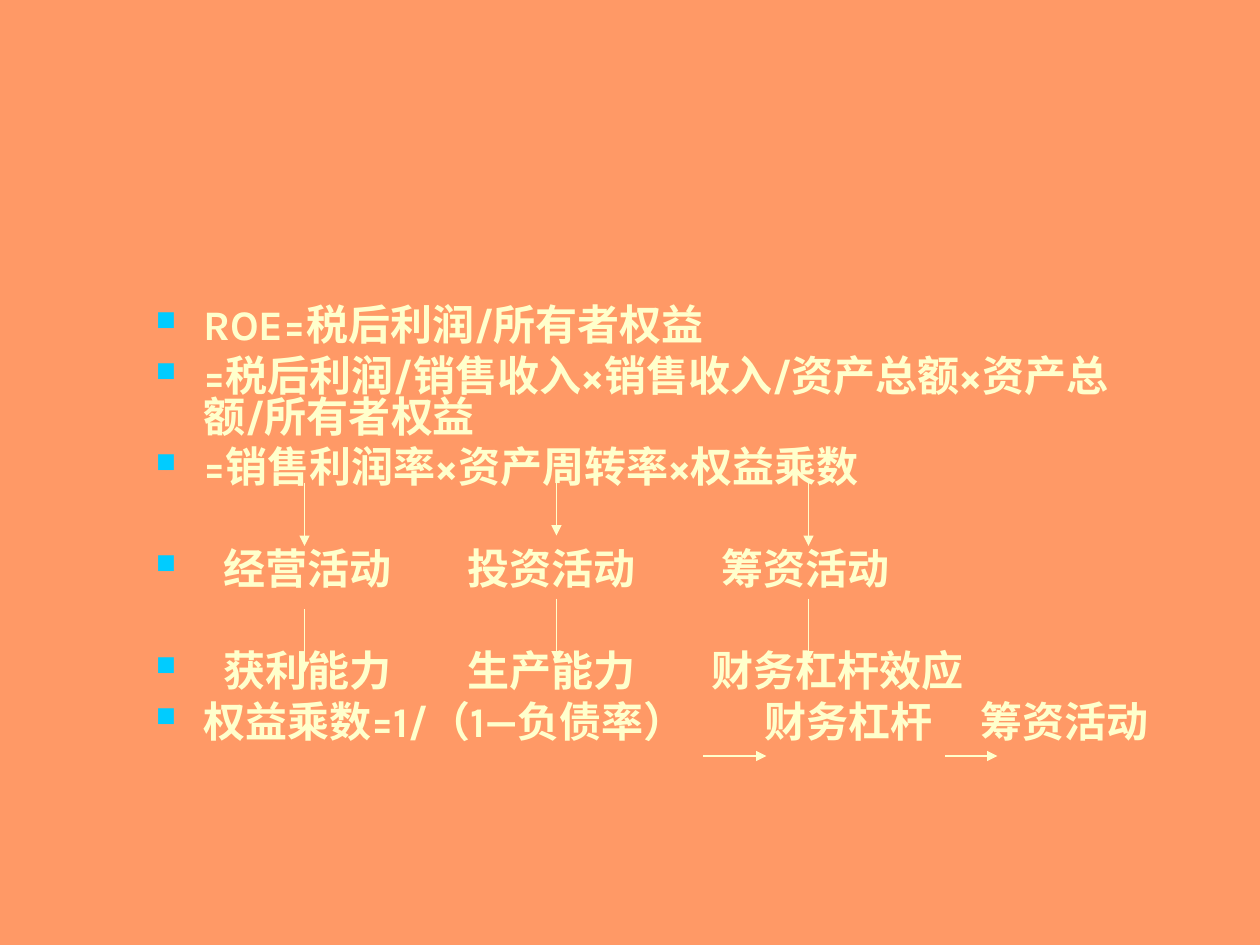
"""Build the slide that breaks ROE into its factors."""
from lxml import etree
from pptx import Presentation
from pptx.dml.color import RGBColor
from pptx.enum import shapes, text
from pptx.oxml import ns
from pptx.util import Pt

CREAM, CYAN, ORANGE = "FFFFCC", "00CCFF", "FF9966"
PITCH, WRAPPED, GAP = 29.1, 23, 6
BODY_LEFT, BODY_TOP = 82, 172.8
HANG, DEEP_HANG = 27, 38.8

# bullet text, hanging indent, empty rows above
BULLETS = [
    ("ROE=税后利润/所有者权益", HANG, 0),
    ("=税后利润/销售收入×销售收入/资产总额×资产总额/所有者权益", HANG, 0),
    ("=销售利润率×资产周转率×权益乘数", HANG, 0),
    ("经营活动", DEEP_HANG, 1),
    ("获利能力", DEEP_HANG, 1),
    ("权益乘数=1/（1—负债率）", HANG, 0),
]
# text, left, row
COLUMN_WORDS = [
    ("投资活动", 267.4, 4),
    ("筹资活动", 412.2, 4),
    ("生产能力", 267.4, 6),
    ("财务杠杆效应", 406.4, 6),
    ("财务杠杆", 437, 7),
    ("筹资活动", 560.2, 7),
]
# x, tops of the two arrows in the column
DOWN_ARROWS = [(174, (276, 348)), (318, (270, 342)), (462, (276, 342))]
DOWN_LENGTH = 36
# start and end
RIGHT_ARROWS = [(402, 438), (540, 570)]
RIGHT_ARROW_Y = 432


def color(value):
    return RGBColor.from_string(value)


def add_element(parent, tag, **attributes):
    return etree.SubElement(parent, ns.qn(tag), attributes)


def add_frame(slide, left, top, width, height, side_inset):
    frame = slide.shapes.add_textbox(Pt(left), Pt(top), Pt(width), Pt(height)).text_frame
    frame.word_wrap = True
    frame.vertical_anchor = text.MSO_ANCHOR.TOP
    frame.margin_left = frame.margin_right = Pt(side_inset)
    frame.margin_top = frame.margin_bottom = Pt(3.6)
    return frame


def write(paragraph, words):
    paragraph.line_spacing = 0.8
    run = paragraph.add_run()
    run.text = words
    run.font.name, run.font.size, run.font.bold = "Karla", Pt(24), True
    run.font.color.rgb = color(CREAM)


def add_bullet(paragraph, hang):
    properties = paragraph._p.get_or_add_pPr()
    properties.set("marL", str(Pt(hang)))
    properties.set("indent", str(-Pt(hang)))
    add_element(add_element(properties, "a:buClr"), "a:srgbClr", val=CYAN)
    add_element(properties, "a:buSzPct", val="65000")
    add_element(properties, "a:buChar", char="■")


def add_arrow(slide, x1, y1, x2, y2):
    arrow = slide.shapes.add_connector(
        shapes.MSO_CONNECTOR.STRAIGHT, Pt(x1), Pt(y1), Pt(x2), Pt(y2))
    arrow.line.color.rgb = color(CREAM)
    arrow.line.width = Pt(0.75)
    add_element(arrow.line._get_or_add_ln(), "a:tailEnd", type="triangle")
    add_element(arrow._element.spPr, "a:effectLst")


def main():
    deck = Presentation()
    deck.slide_width, deck.slide_height = Pt(720), Pt(540)
    slide = deck.slides.add_slide(deck.slide_layouts[6])
    slide.background.fill.solid()
    slide.background.fill.fore_color.rgb = color(ORANGE)

    body = add_frame(slide, BODY_LEFT, BODY_TOP, 589.7, 295.9, 7.2)
    for index, (words, hang, empty_rows) in enumerate(BULLETS):
        paragraph = body.add_paragraph() if index else body.paragraphs[0]
        add_bullet(paragraph, hang)
        if index:
            paragraph.space_before = Pt(GAP + empty_rows * PITCH)
        write(paragraph, words)

    for words, left, row in COLUMN_WORDS:
        top = BODY_TOP + WRAPPED + row * PITCH
        cell = add_frame(slide, left, top, 24 * len(words) + 6, 32, 0)
        write(cell.paragraphs[0], words)

    for x, tops in DOWN_ARROWS:
        for top in tops:
            add_arrow(slide, x, top, x, top + DOWN_LENGTH)
    for start, end in RIGHT_ARROWS:
        add_arrow(slide, start, RIGHT_ARROW_Y, end, RIGHT_ARROW_Y)

    deck.save("out.pptx")


if __name__ == "__main__":
    main()
